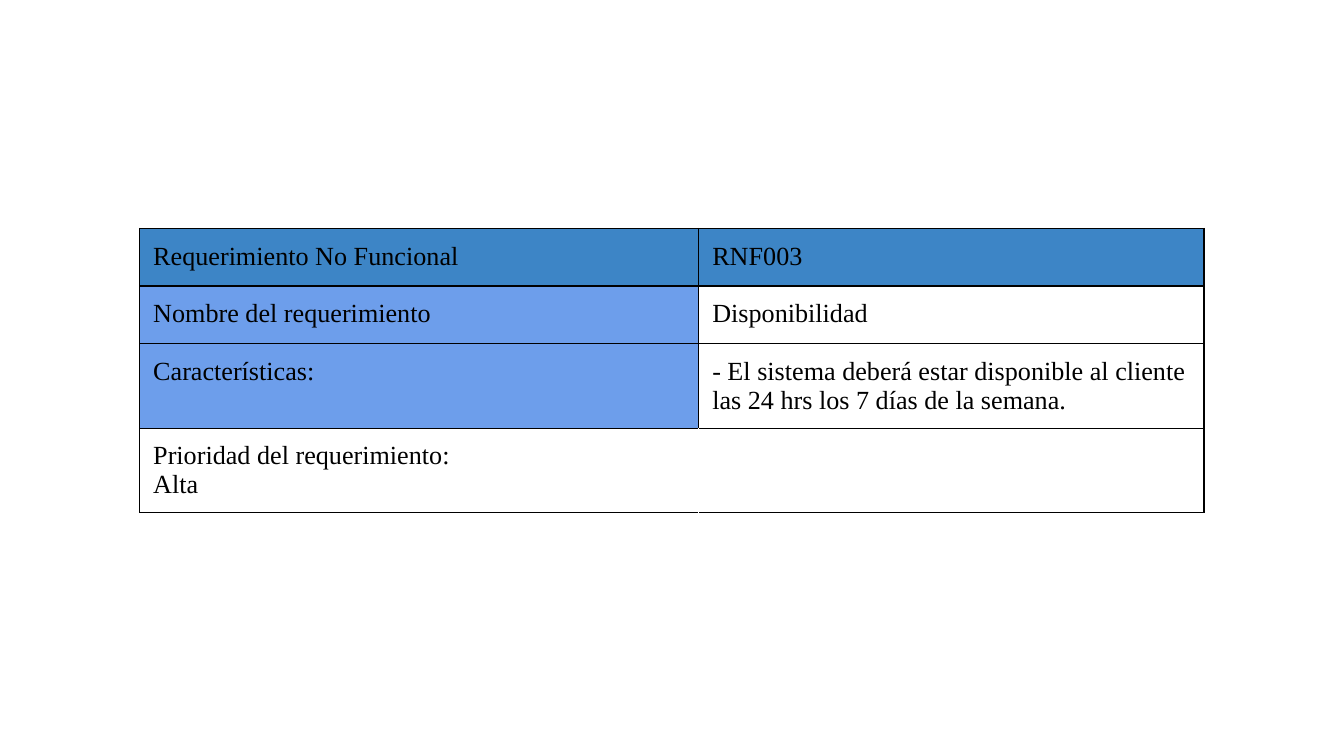
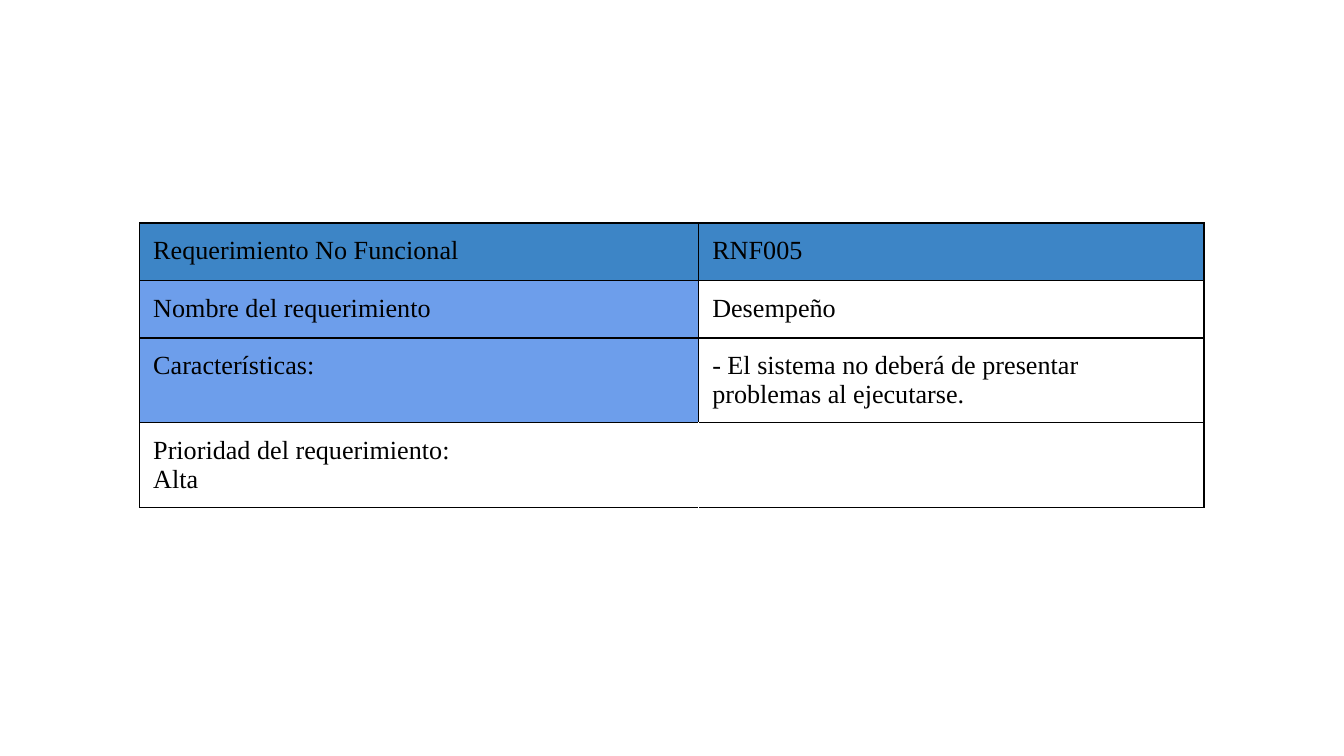
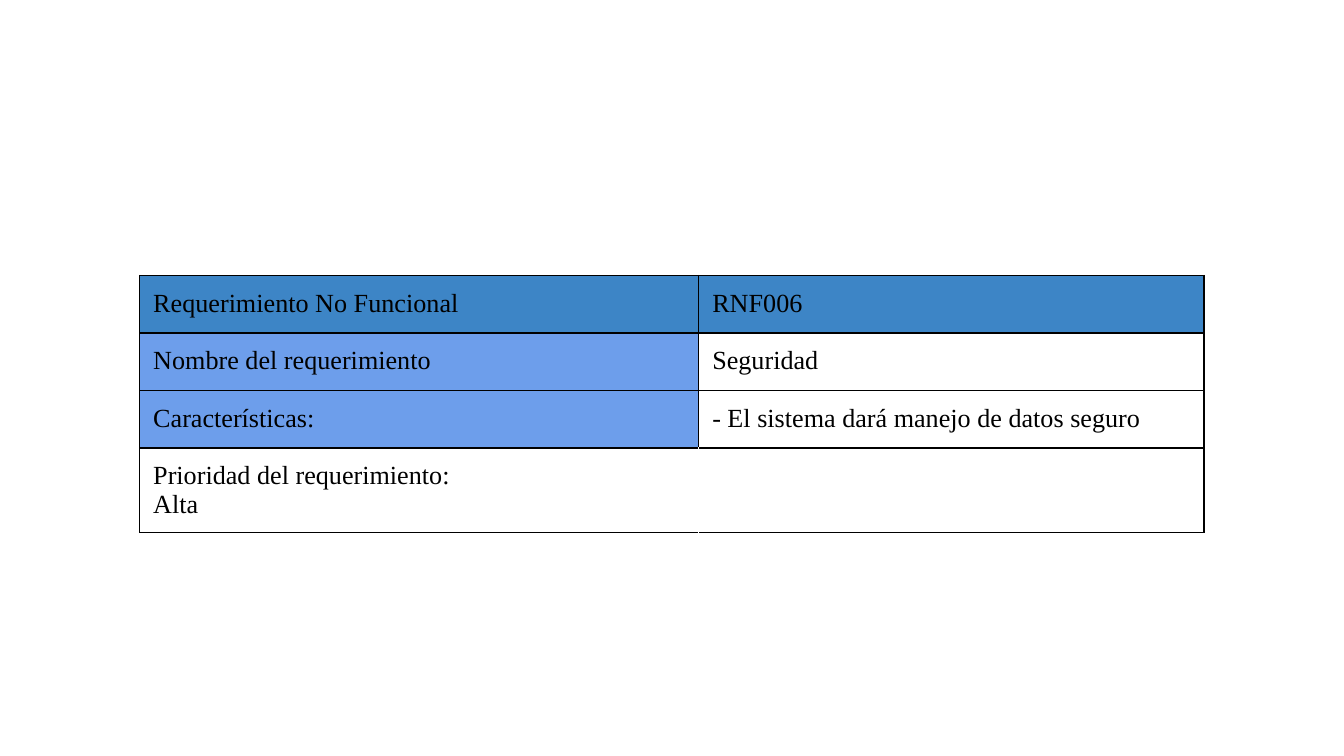
from lxml import etree
from pptx import Presentation
from pptx import util as u
from pptx.dml.color import RGBColor
from pptx.oxml import ns

# Content: top of the table, code, name and feature of each requirement
REQUIREMENTS = [
    (122.4, "RNF003", "Disponibilidad",
     "- El sistema deberá estar disponible al cliente las 24 hrs los 7 días de la semana."),
    (119.5, "RNF005", "Desempeño",
     "- El sistema no deberá de presentar problemas al ejecutarse."),
    (147.6, "RNF006", "Seguridad",
     "- El sistema dará manejo de datos seguro"),
]
LABELS = ["Requerimiento No Funcional", "Nombre del requerimiento", "Características:"]
PRIORITY = "Prioridad del requerimiento:\nAlta"

# Shared style
COLORS = {"header": "3D85C6", "label": "6D9EEB", "plain": "FFFFFF", "ink": "000000"}
FILLS = [("header", "header"), ("label", "plain"), ("label", "plain"), ("plain", "plain")]
FONT = {"name": "Times New Roman", "size": u.Pt(14)}
MARGINS = ("margin_left", "margin_right", "margin_top", "margin_bottom")
LEFT, ROW_HEIGHT, PADDING, BORDER = 74.9, 30.8, 7.2, 0.75
COLUMNS = (299.5, 270.7)


def set_borders(cell, hidden_side):
    """Draw the four cell borders; the hidden side takes the plain colour."""
    properties = cell._tc.get_or_add_tcPr()
    for position, side in enumerate("LRTB"):
        line = etree.Element(ns.qn(f"a:ln{side}"), w=str(u.Pt(BORDER)))
        fill = etree.SubElement(line, ns.qn("a:solidFill"))
        color = COLORS["plain" if side == hidden_side else "ink"]
        etree.SubElement(fill, ns.qn("a:srgbClr"), val=color)
        properties.insert(position, line)


def format_cell(cell, content, fill, hidden_side):
    cell.text = content
    for margin in MARGINS:
        setattr(cell, margin, u.Pt(PADDING))
    cell.fill.solid()
    cell.fill.fore_color.rgb = RGBColor.from_string(COLORS[fill])
    for para in cell.text_frame.paragraphs:
        for span in para.runs:
            for name, value in FONT.items():
                setattr(span.font, name, value)
            span.font.color.rgb = RGBColor.from_string(COLORS["ink"])
    set_borders(cell, hidden_side)


def add_requirement(deck, top, *values):
    page = deck.slides.add_slide(deck.slide_layouts[6])
    rows = [*zip(LABELS, values), (PRIORITY, "")]
    table = page.shapes.add_table(
        len(rows), len(COLUMNS), u.Pt(LEFT), u.Pt(top),
        u.Pt(sum(COLUMNS)), u.Pt(ROW_HEIGHT * len(rows))).table
    for column, width in zip(table.columns, COLUMNS):
        column.width = u.Pt(width)
    for r, contents in enumerate(rows):
        # The priority row has no visible line between its two cells
        hidden = "RL" if r == len(rows) - 1 else (None, None)
        for c, content in enumerate(contents):
            format_cell(table.cell(r, c), content, FILLS[r][c], hidden[c])


def main():
    deck = Presentation()
    deck.slide_width, deck.slide_height = u.Pt(720), u.Pt(405)
    for requirement in REQUIREMENTS:
        add_requirement(deck, *requirement)
    deck.save("out.pptx")


if __name__ == "__main__":
    main()
